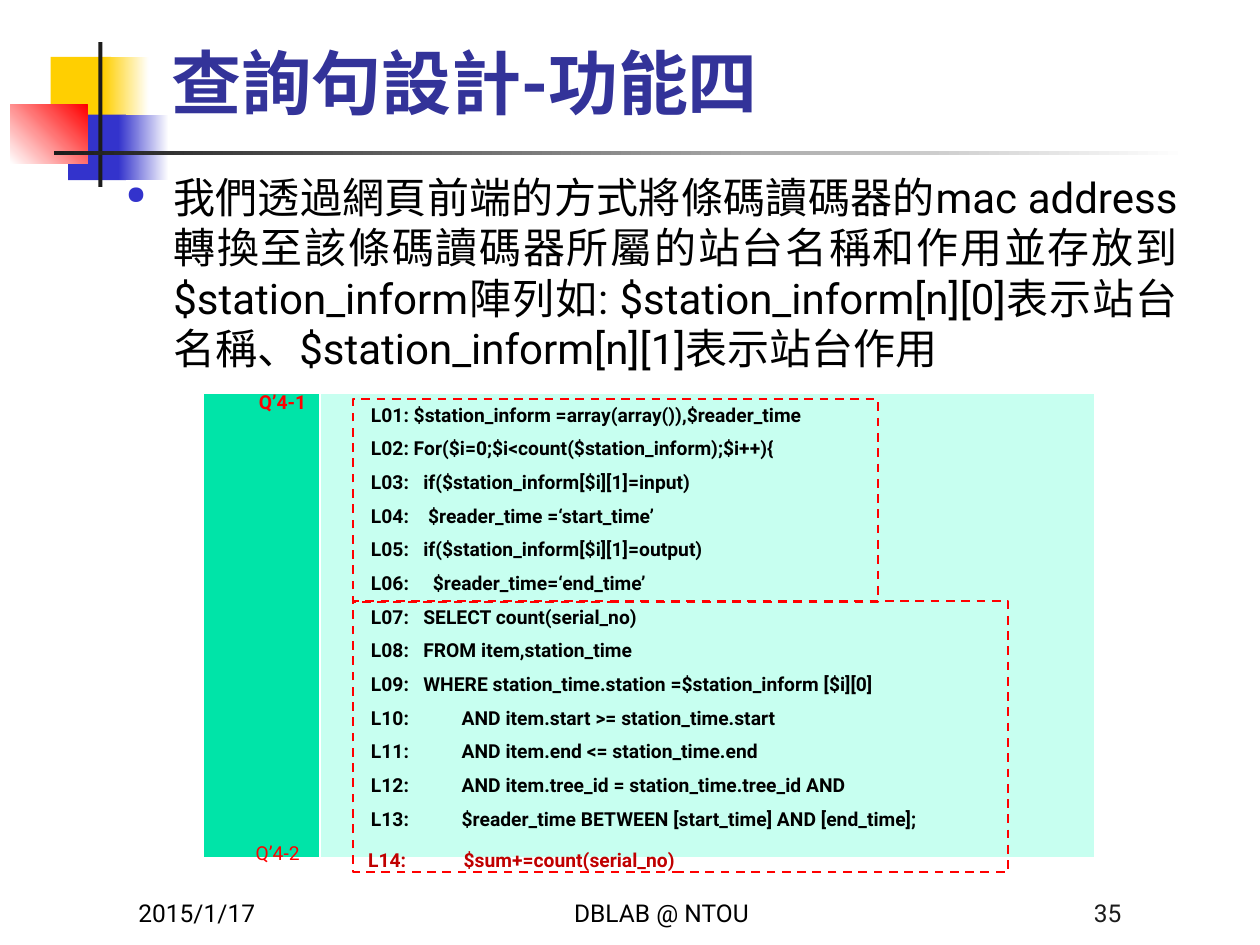
from dataclasses import dataclass
from typing import Optional

from lxml import etree
from pptx import Presentation
from pptx.dml.color import RGBColor
from pptx.enum.dml import MSO_LINE
from pptx.enum.shapes import MSO_SHAPE
from pptx.enum.text import MSO_ANCHOR, MSO_AUTO_SIZE, PP_ALIGN
from pptx.oxml.ns import qn
from pptx.util import Pt

RECT = MSO_SHAPE.RECTANGLE
DASH = MSO_LINE.DASH
TOP, BOTTOM = MSO_ANCHOR.TOP, MSO_ANCHOR.BOTTOM
LEFT, CENTER, RIGHT, JUSTIFY = PP_ALIGN.LEFT, PP_ALIGN.CENTER, PP_ALIGN.RIGHT, PP_ALIGN.JUSTIFY
NO_FIT = MSO_AUTO_SIZE.NONE

WHITE = RGBColor(0xFF, 0xFF, 0xFF)
BLACK = RGBColor(0x00, 0x00, 0x00)
INK = RGBColor(0x1C, 0x1C, 0x1C)
YELLOW = RGBColor(0xFF, 0xCF, 0x01)
BLUE = RGBColor(0x33, 0x33, 0xCC)
NAVY = RGBColor(0x33, 0x33, 0x99)
RED = RGBColor(0xFF, 0x00, 0x00)
DARK_RED = RGBColor(0xC0, 0x00, 0x00)
GREEN = RGBColor(0x00, 0xE4, 0xA8)
MINT = RGBColor(0xC7, 0xFF, 0xF0)

FONT = "Roboto"
CODE_INDENT = 24

BODY = (
    "我們透過網頁前端的方式將條碼讀碼器的mac address轉換至該條碼讀碼器所屬的站台名稱和作用"
    "並存放到$station_inform陣列如: $station_inform[n][0]表示站台名稱、"
    "$station_inform[n][1]表示站台作用"
)
CODE = """\
L01: $station_inform =array(array()),$reader_time
L02: For($i=0;$i<count($station_inform);$i++){
L03:   if($station_inform[$i][1]=input)
L04:    $reader_time =‘start_time’
L05:   if($station_inform[$i][1]=output)
L06:     $reader_time=‘end_time’
L07:   SELECT count(serial_no)
L08:   FROM item,station_time
L09:   WHERE station_time.station =$station_inform [$i][0]
L10:           AND item.start >= station_time.start
L11:           AND item.end <= station_time.end
L12:           AND item.tree_id = station_time.tree_id AND
L13:           $reader_time BETWEEN [start_time] AND [end_time];"""
LAST_CODE_LINE = "L14:            $sum+=count(serial_no)"


@dataclass(frozen=True)
class Box:
    x: float
    y: float
    w: float
    h: float

    def emu(self):
        return Pt(self.x), Pt(self.y), Pt(self.w), Pt(self.h)


@dataclass(frozen=True)
class Block:
    box: Box
    color: RGBColor
    end: Optional[RGBColor] = None
    angle: float = 0


@dataclass(frozen=True)
class Label:
    box: Box
    text: str
    size: float
    color: RGBColor = BLACK
    bold: bool = False
    align: PP_ALIGN = LEFT
    anchor: MSO_ANCHOR = TOP


BLOCKS = [
    Block(Box(29, 32.5, 34.5, 37.5), YELLOW),
    Block(Box(59, 32.5, 26, 37.5), YELLOW, WHITE),
    Block(Box(39, 65.5, 33, 37.5), BLUE),
    Block(Box(67.5, 65.5, 29, 37.5), BLUE, WHITE),
    Block(Box(6, 60, 44, 33.5), WHITE, RED, 45),
    Block(Box(56.2, 24, 2.3, 82.8), INK),
    Block(Box(31, 86.4, 648, 2.2), INK, WHITE),
]
FOOTERS = [
    Label(Box(72, 497.5, 150, 36), "2015/1/17", 14, anchor=BOTTOM),
    Label(Box(264, 497.5, 228, 36), "DBLAB @ NTOU", 14, align=CENTER, anchor=BOTTOM),
    Label(Box(498, 497.5, 150, 36), "35", 14, INK, align=RIGHT, anchor=BOTTOM),
]
BODY_LABEL = Label(Box(65, 94.3, 615, 390), BODY, 24, align=JUSTIFY)
QUERY_LABEL = Label(Box(139, 477.4, 45.5, 20.6), "Q’4-2", 11, RED)
LAST_LINE = Label(Box(179.3, 474.5, 305, 27.4), LAST_CODE_LINE, 11, DARK_RED, True)
TABLE_BOX = Box(116, 224.6, 509.5, 266.4)
LABEL_COL = 67
FRAMES = [Box(201.6, 228.2, 300, 115.8), Box(201.6, 343.6, 374.4, 154.8)]


def format_text(tf, size: float, color: RGBColor, bold: bool, align: PP_ALIGN) -> None:
    for p in tf.paragraphs:
        p.alignment = align
        for r in p.runs:
            r.font.name, r.font.size, r.font.bold = FONT, Pt(size), bold
            r.font.color.rgb = color


def indent(p, margin: float, first: float) -> None:
    pPr = p._p.get_or_add_pPr()
    pPr.set("marL", str(Pt(margin)))
    pPr.set("indent", str(Pt(first)))


def add_bullet(p, char: str, color: RGBColor, percent: int) -> None:
    pPr = p._p.get_or_add_pPr()
    clr = etree.SubElement(pPr, qn("a:buClr"))
    etree.SubElement(clr, qn("a:srgbClr"), val=str(color))
    etree.SubElement(pPr, qn("a:buSzPct"), val=str(percent * 1000))
    etree.SubElement(pPr, qn("a:buChar"), char=char)


def add_block(slide, block: Block) -> None:
    sp = slide.shapes.add_shape(RECT, *block.box.emu())
    sp.shadow.inherit = False
    sp.line.fill.background()
    if block.end is None:
        sp.fill.solid()
        sp.fill.fore_color.rgb = block.color
        return
    sp.fill.gradient()
    sp.fill.gradient_angle = block.angle
    for stop, color in zip(sp.fill.gradient_stops, (block.color, block.end)):
        stop.color.rgb = color


def add_label(slide, label: Label):
    tf = slide.shapes.add_textbox(*label.box.emu()).text_frame
    tf.word_wrap = True
    tf.vertical_anchor = label.anchor
    tf.text = label.text
    format_text(tf, label.size, label.color, label.bold, label.align)
    return tf.paragraphs[0]


def add_frame(slide, box: Box) -> None:
    sp = slide.shapes.add_shape(RECT, *box.emu())
    sp.shadow.inherit = False
    sp.fill.background()
    sp.line.color.rgb = RED
    sp.line.width = Pt(1.25)
    sp.line.dash_style = DASH


def fill_cell(cell, text: str, fill: RGBColor, color: RGBColor, align: PP_ALIGN, spacing) -> None:
    tcPr = cell._tc.get_or_add_tcPr()
    for side, width in (("L", 1), ("R", 1), ("T", 1), ("B", 3)):
        ln = etree.SubElement(tcPr, qn(f"a:ln{side}"), w=str(Pt(width)))
        solid = etree.SubElement(ln, qn("a:solidFill"))
        etree.SubElement(solid, qn("a:srgbClr"), val=str(WHITE))
    cell.fill.solid()
    cell.fill.fore_color.rgb = fill
    cell.margin_left = cell.margin_right = Pt(5)
    cell.margin_top = cell.margin_bottom = Pt(0)
    cell.text_frame.text = text
    format_text(cell.text_frame, 11, color, True, align)
    for p in cell.text_frame.paragraphs:
        p.line_spacing = spacing
        indent(p, 0, CODE_INDENT)


def add_code_table(slide) -> None:
    table = slide.shapes.add_table(1, 2, *TABLE_BOX.emu()).table
    table.first_row = table.horz_banding = False
    table.columns[0].width = Pt(LABEL_COL)
    table.columns[1].width = Pt(TABLE_BOX.w - LABEL_COL)
    fill_cell(table.cell(0, 0), "Q’4-1", GREEN, RED, CENTER, Pt(12))
    fill_cell(table.cell(0, 1), CODE, MINT, BLACK, LEFT, 1.5)


def main() -> None:
    prs = Presentation()
    prs.slide_width, prs.slide_height = Pt(720), Pt(540)
    slide = prs.slides.add_slide(prs.slide_layouts[5])
    for block in BLOCKS:
        add_block(slide, block)

    title = slide.shapes.title
    title.left, title.top, title.width, title.height = Box(90.7, 12.2, 613.5, 62).emu()
    tf = title.text_frame
    tf.text = "查詢句設計-功能四"
    tf.auto_size = NO_FIT
    tf.vertical_anchor = BOTTOM
    format_text(tf, 40, NAVY, True, LEFT)

    for footer in FOOTERS:
        add_label(slide, footer)
    p = add_label(slide, BODY_LABEL)
    indent(p, 27, -27)
    add_bullet(p, "●", BLUE, 60)

    add_code_table(slide)
    add_label(slide, QUERY_LABEL)
    p = add_label(slide, LAST_LINE)
    p.line_spacing = 1.5
    indent(p, 0, CODE_INDENT)
    for frame in FRAMES:
        add_frame(slide, frame)
    prs.save("out.pptx")


if __name__ == "__main__":
    main()
